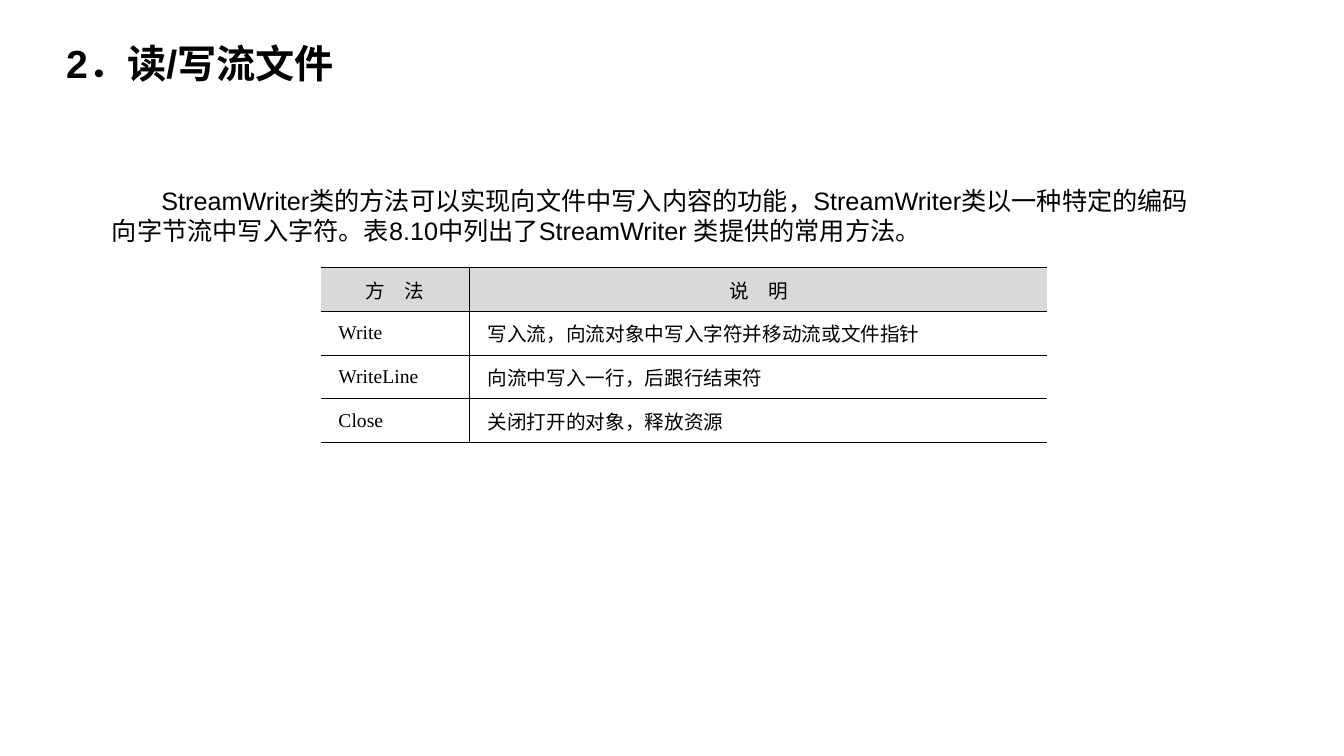
from lxml import etree
from pptx import Presentation
from pptx import util as u
from pptx.dml.color import RGBColor
from pptx.enum import text
from pptx.oxml import ns

BLACK = RGBColor(0x00, 0x00, 0x00)
HEADER_GREY = RGBColor(0xD9, 0xD9, 0xD9)

HEADING = "2．读/写流文件"
INTRO = (
    "StreamWriter类的方法可以实现向文件中写入内容的功能，"
    "StreamWriter类以一种特定的编码向字节流中写入字符。"
    "表8.10中列出了StreamWriter 类提供的常用方法。"
)
METHODS = [
    ("方　法", "说　明"),
    ("Write", "写入流，向流对象中写入字符并移动流或文件指针"),
    ("WriteLine", "向流中写入一行，后跟行结束符"),
    ("Close", "关闭打开的对象，释放资源"),
]
COLUMN_WIDTHS = (u.Cm(3.76), u.Cm(14.55))
ROW_HEIGHT = u.Cm(1.1)


def apply(target, formats):
    """Set every attribute in formats on target."""
    for name, value in formats.items():
        setattr(target, name, value)


def write(frame, words, font, paragraph_formats, indent=0):
    """Put one formatted paragraph into a text frame."""
    paragraph = frame.paragraphs[0]
    apply(paragraph, paragraph_formats)
    if indent:
        paragraph._p.get_or_add_pPr().set("indent", str(indent))
    run = paragraph.add_run()
    run.text = words
    apply(run.font, font)
    run.font.color.rgb = BLACK


def add_passage(slide, place, words, font, frame_formats, paragraph_formats, indent=0):
    """Add a wrapping text box with one paragraph."""
    frame = slide.shapes.add_textbox(*place).text_frame
    apply(frame, {"word_wrap": True, **frame_formats})
    write(frame, words, font, paragraph_formats, indent)


def rule_cell(cell, visible_sides):
    """Draw thin rules on the visible sides of a cell and none on the others."""
    properties = cell._tc.get_or_add_tcPr()
    for side in "LRTB":
        line = etree.SubElement(properties, ns.qn(f"a:ln{side}"), w=str(u.Pt(1)))
        if side in visible_sides:
            fill = etree.SubElement(line, ns.qn("a:solidFill"))
            etree.SubElement(fill, ns.qn("a:srgbClr"), val=str(BLACK))
        else:
            etree.SubElement(line, ns.qn("a:noFill"))


def fill_cell(cell, words, is_header, is_first_column):
    """Write, rule and shade one table cell."""
    apply(cell, {
        "vertical_anchor": text.MSO_ANCHOR.MIDDLE,
        "margin_left": u.Cm(0.19),
        "margin_right": u.Cm(0.19),
        "margin_top": 0,
        "margin_bottom": 0,
    })
    rule_cell(cell, "RTB" if is_first_column else "LTB")
    if is_header:
        cell.fill.solid()
        cell.fill.fore_color.rgb = HEADER_GREY
    else:
        cell.fill.background()
    alignment = text.PP_ALIGN.CENTER if is_header else text.PP_ALIGN.JUSTIFY
    write(
        cell.text_frame, words,
        {"name": "Times New Roman", "size": u.Pt(14), "bold": False},
        {"alignment": alignment},
        0 if is_header else u.Cm(0.26),
    )


def add_method_table(slide, left, top):
    """Add the table of methods and their descriptions."""
    table = slide.shapes.add_table(
        len(METHODS), len(COLUMN_WIDTHS), left, top,
        sum(COLUMN_WIDTHS), ROW_HEIGHT * len(METHODS),
    ).table
    apply(table, {"first_row": False, "horz_banding": False})
    for column, width in zip(table.columns, COLUMN_WIDTHS):
        column.width = width
    for row_index, method in enumerate(METHODS):
        table.rows[row_index].height = ROW_HEIGHT
        for column_index, words in enumerate(method):
            fill_cell(table.cell(row_index, column_index), words,
                      row_index == 0, column_index == 0)


def main():
    """Build and save the slide."""
    deck = Presentation()
    apply(deck, {"slide_width": u.Cm(33.87), "slide_height": u.Cm(19.05)})
    slide = deck.slides.add_slide(deck.slide_layouts[6])
    add_passage(
        slide, (u.Cm(1.42), u.Cm(0.99), u.Cm(17.75), u.Cm(1.32)), HEADING,
        {"name": "Arial", "size": u.Pt(28), "bold": True},
        {"vertical_anchor": text.MSO_ANCHOR.MIDDLE}, {"line_spacing": 0.9},
    )
    add_passage(
        slide, (u.Cm(2.57), u.Cm(4.55), u.Cm(27.69), u.Cm(1.8)), INTRO,
        {"name": "Arial", "size": u.Pt(18)},
        {"auto_size": text.MSO_AUTO_SIZE.SHAPE_TO_FIT_TEXT}, {}, u.Cm(1.25),
    )
    add_method_table(slide, u.Cm(8.08), u.Cm(6.75))
    deck.save("out.pptx")


if __name__ == "__main__":
    main()
